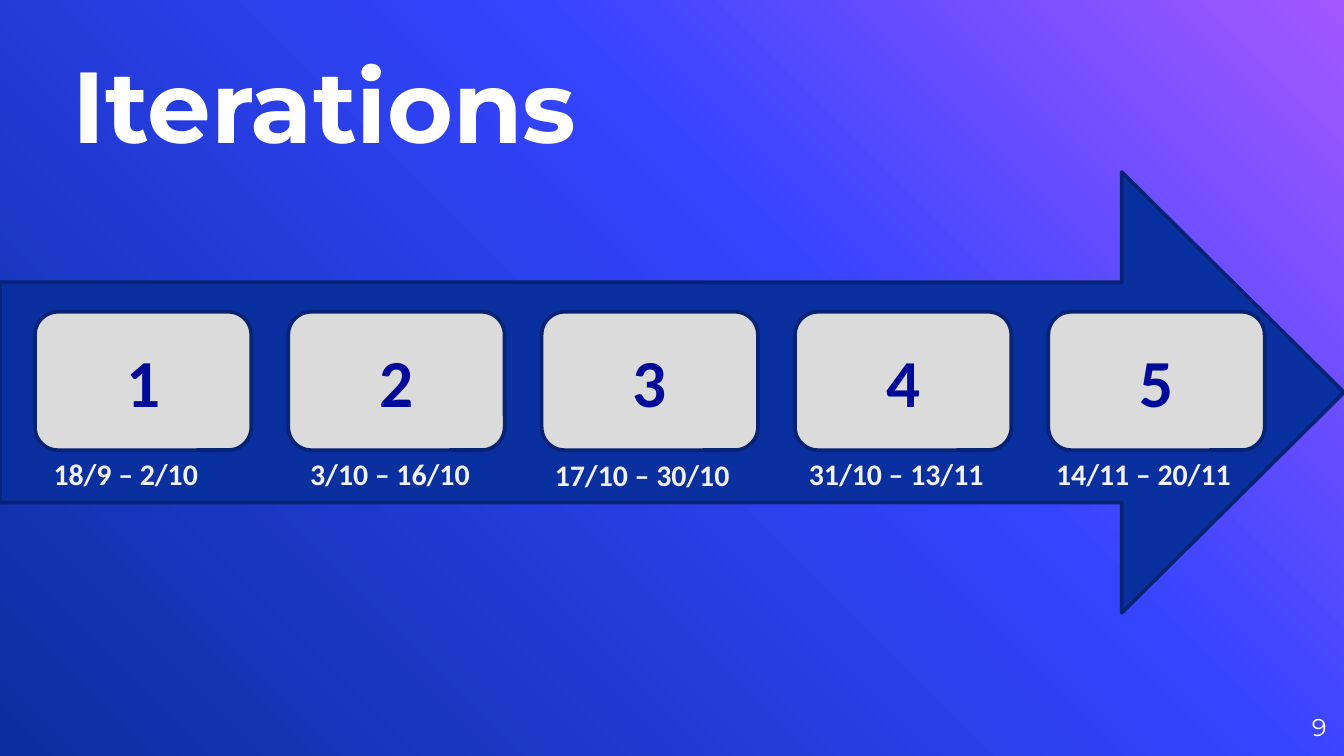
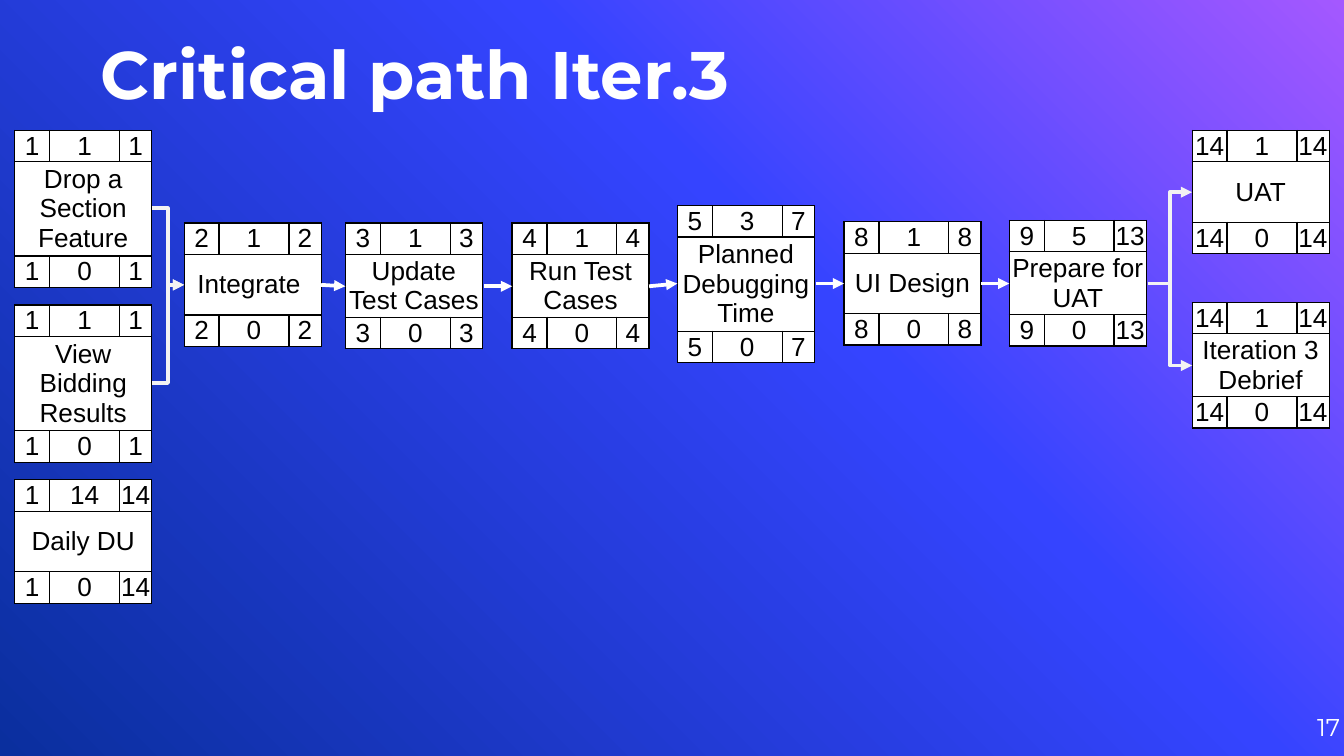
from copy import deepcopy

from lxml.etree import SubElement
from pptx import Presentation
from pptx.dml.color import RGBColor
from pptx.enum.shapes import MSO_CONNECTOR, MSO_SHAPE
from pptx.enum.text import MSO_ANCHOR, MSO_AUTO_SIZE, PP_ALIGN
from pptx.oxml.ns import qn
from pptx.util import Inches, Pt

WHITE, PALE, BLACK = "FFFFFF", "F3F3F3", "000000"
NAVY, EDGE = "0A2F9E", "072375"


def color(hex_text):
    return RGBColor.from_string(hex_text)


def write(holder, text, size=14, font="Arial", ink=BLACK, bold=False,
          align=PP_ALIGN.CENTER, anchor=MSO_ANCHOR.MIDDLE, inset=0):
    frame = getattr(holder, "text_frame", holder)
    holder.margin_left = holder.margin_right = Inches(inset)
    holder.margin_top = holder.margin_bottom = Inches(inset / 2)
    holder.vertical_anchor = anchor
    paragraph = frame.paragraphs[0]
    paragraph.alignment = align
    run = paragraph.add_run()
    run.text = text
    run.font.size = Pt(size)
    run.font.name = font
    run.font.bold = bold
    run.font.color.rgb = color(ink)


deck = Presentation()
deck.slide_width = Inches(10)
deck.slide_height = deck.slide_width * 9 // 16

backdrop = deck.slide_master.background.fill
backdrop.gradient()
backdrop.gradient_angle = 225
stop_list = deck.slide_master.element.find(".//" + qn("a:gsLst"))
stop_list.insert(1, deepcopy(stop_list[0]))
for stop, (position, hue) in zip(
        backdrop.gradient_stops, [(0, "A458FF"), (0.39, "3544FF"), (1, NAVY)]):
    stop.position = position
    stop.color.rgb = color(hue)

pages = []
for layout, heading, size, box, number, number_width in [
    (0, "Iterations", 54, (0.54, 0.32, 5.06, 2.05), "9", 0.6),
    (5, "Critical path Iter.3", 36, (0.75, 0.24, 5.36, 1.35), "17", 0.7),
]:
    page = deck.slides.add_slide(deck.slide_layouts[layout])
    for placeholder in list(page.placeholders):
        if placeholder.placeholder_format.idx != 0:
            placeholder.element.getparent().remove(placeholder.element)
    title = page.shapes.title
    title.left, title.top, title.width, title.height = map(Inches, box)
    title.text_frame.auto_size = MSO_AUTO_SIZE.NONE
    title.text_frame.word_wrap = True
    write(title.text_frame, heading, size=size, font="Montserrat", ink=WHITE,
          bold=True, align=PP_ALIGN.LEFT, anchor=MSO_ANCHOR.TOP)
    page_number = page.shapes.add_textbox(
        Inches(9.27), Inches(5.19), Inches(number_width), Inches(0.43))
    page_number.text_frame.word_wrap = True
    write(page_number.text_frame, number, size=13, font="Montserrat",
          ink=WHITE, align=PP_ALIGN.RIGHT)
    pages.append(page)

timeline, network = pages

arrow = timeline.shapes.add_shape(
    MSO_SHAPE.RIGHT_ARROW, 0, Inches(1.28), Inches(10), Inches(3.28))
arrow.adjustments[0], arrow.adjustments[1] = 0.5, 0.504
timeline.shapes.title.element.addprevious(arrow.element)
cards = [
    timeline.shapes.add_shape(
        MSO_SHAPE.ROUNDED_RECTANGLE, Inches(0.26 + 1.885 * step), Inches(2.32),
        Inches(1.61), Inches(1.03))
    for step in range(5)
]
for outlined, fill in [(arrow, NAVY)] + [(card, "DBDBDB") for card in cards]:
    outlined.shadow.inherit = False
    outlined.fill.solid()
    outlined.fill.fore_color.rgb = color(fill)
    outlined.line.color.rgb = color(EDGE)
    outlined.line.width = Pt(2)
for step, card in enumerate(cards, 1):
    write(card.text_frame, str(step), size=36, font="Calibri", ink="000B9A",
          bold=True, inset=0.1)

for period, left, top, width in [
    ("18/9 – 2/10", 0.3, 3.34, 1.48),
    ("3/10 – 16/10", 2.21, 3.34, 1.54),
    ("31/10 – 13/11", 5.92, 3.34, 1.72),
    ("14/11 – 20/11", 7.76, 3.34, 1.68),
    ("17/10 – 30/10", 4.03, 3.35, 1.72),
]:
    dates = timeline.shapes.add_textbox(
        Inches(left), Inches(top), Inches(width), Inches(0.37))
    dates.text_frame.word_wrap = True
    dates.text_frame.auto_size = MSO_AUTO_SIZE.SHAPE_TO_FIT_TEXT
    write(dates.text_frame, period, size=16, font="Calibri", ink="F2F2F2",
          bold=True, align=PP_ALIGN.LEFT, anchor=MSO_ANCHOR.TOP, inset=0.1)

for task, start, duration, finish, left, top in [
    ("Drop a Section Feature", 1, 1, 1, 0.11, 0.97),
    ("View Bidding Results", 1, 1, 1, 0.11, 2.27),
    ("Daily DU", 1, 14, 14, 0.11, 3.57),
    ("Integrate ", 2, 1, 2, 1.37, 1.66),
    ("Update Test Cases", 3, 1, 3, 2.57, 1.66),
    ("Run Test Cases", 4, 1, 4, 3.81, 1.66),
    ("Planned Debugging Time", 5, 3, 7, 5.04, 1.53),
    ("UI Design", 8, 1, 8, 6.28, 1.65),
    ("Prepare for UAT", 9, 5, 13, 7.51, 1.64),
    ("UAT", 14, 1, 14, 8.87, 0.97),
    ("Iteration 3 Debrief", 14, 1, 14, 8.87, 2.25),
]:
    node = network.shapes.add_table(
        3, 3, Inches(left), Inches(top), Inches(1.02), Inches(0.91)).table
    node.first_row = node.horz_banding = False
    for column, width in zip(node.columns, (0.26, 0.52, 0.24)):
        column.width = Inches(width)
    for row, height in zip(node.rows, (0.23, 0.45, 0.23)):
        row.height = Inches(height)
    node.cell(1, 0).merge(node.cell(1, 2))
    content = [(start, duration, finish), (task, "", ""), (start, 0, finish)]
    for row, values in zip(node.rows, content):
        for cell, value in zip(row.cells, values):
            write(cell, str(value))
            for side in ("a:lnL", "a:lnR", "a:lnT", "a:lnB"):
                border = SubElement(cell._tc.get_or_add_tcPr(), qn(side),
                                    w=str(Pt(0.75)))
                ink = SubElement(border, qn("a:solidFill"))
                SubElement(ink, qn("a:srgbClr"), val=BLACK)
            cell.fill.solid()
            cell.fill.fore_color.rgb = color(WHITE)

for route, stroke, *ends in [
    (MSO_CONNECTOR.ELBOW, PALE, 1.13, 1.55, 1.37, 2.12),
    (MSO_CONNECTOR.ELBOW, PALE, 1.13, 2.85, 1.37, 2.12),
    (MSO_CONNECTOR.STRAIGHT, WHITE, 2.39, 2.12, 2.57, 2.13),
    (MSO_CONNECTOR.STRAIGHT, WHITE, 3.6, 2.13, 3.81, 2.13),
    (MSO_CONNECTOR.STRAIGHT, WHITE, 4.83, 2.13, 5.04, 2.11),
    (MSO_CONNECTOR.STRAIGHT, WHITE, 6.07, 2.11, 6.28, 2.11),
    (MSO_CONNECTOR.STRAIGHT, WHITE, 7.3, 2.11, 7.51, 2.11),
    (MSO_CONNECTOR.ELBOW, PALE, 8.54, 2.11, 8.87, 2.72),
    (MSO_CONNECTOR.ELBOW, PALE, 8.54, 2.11, 8.87, 1.43),
]:
    dependency = network.shapes.add_connector(route, *map(Inches, ends))
    dependency.line.color.rgb = color(stroke)
    dependency.line.width = Pt(2)
    SubElement(dependency.get_or_add_ln(), qn("a:tailEnd"), type="triangle")
    SubElement(dependency.element.spPr, qn("a:effectLst"))

deck.save("out.pptx")
